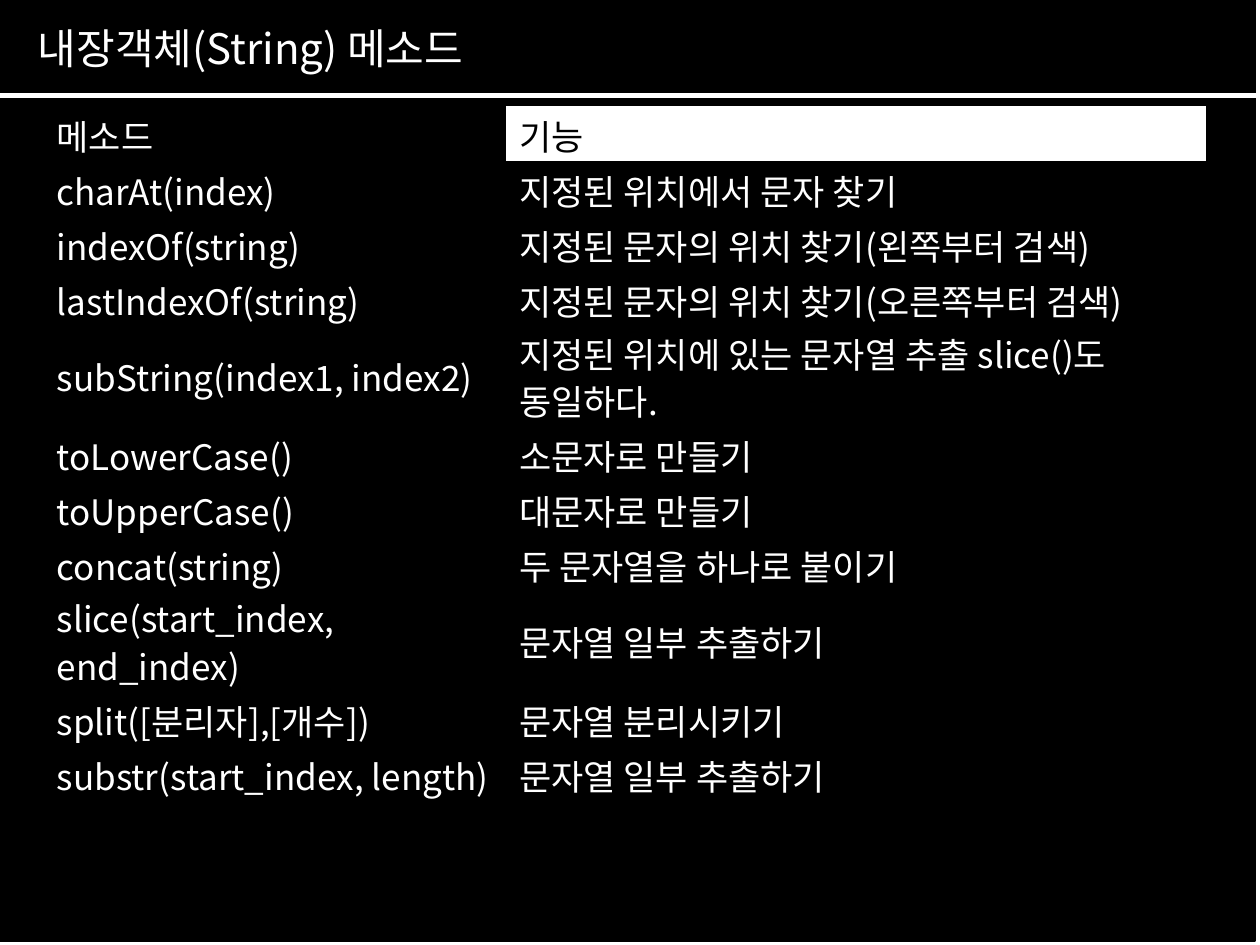
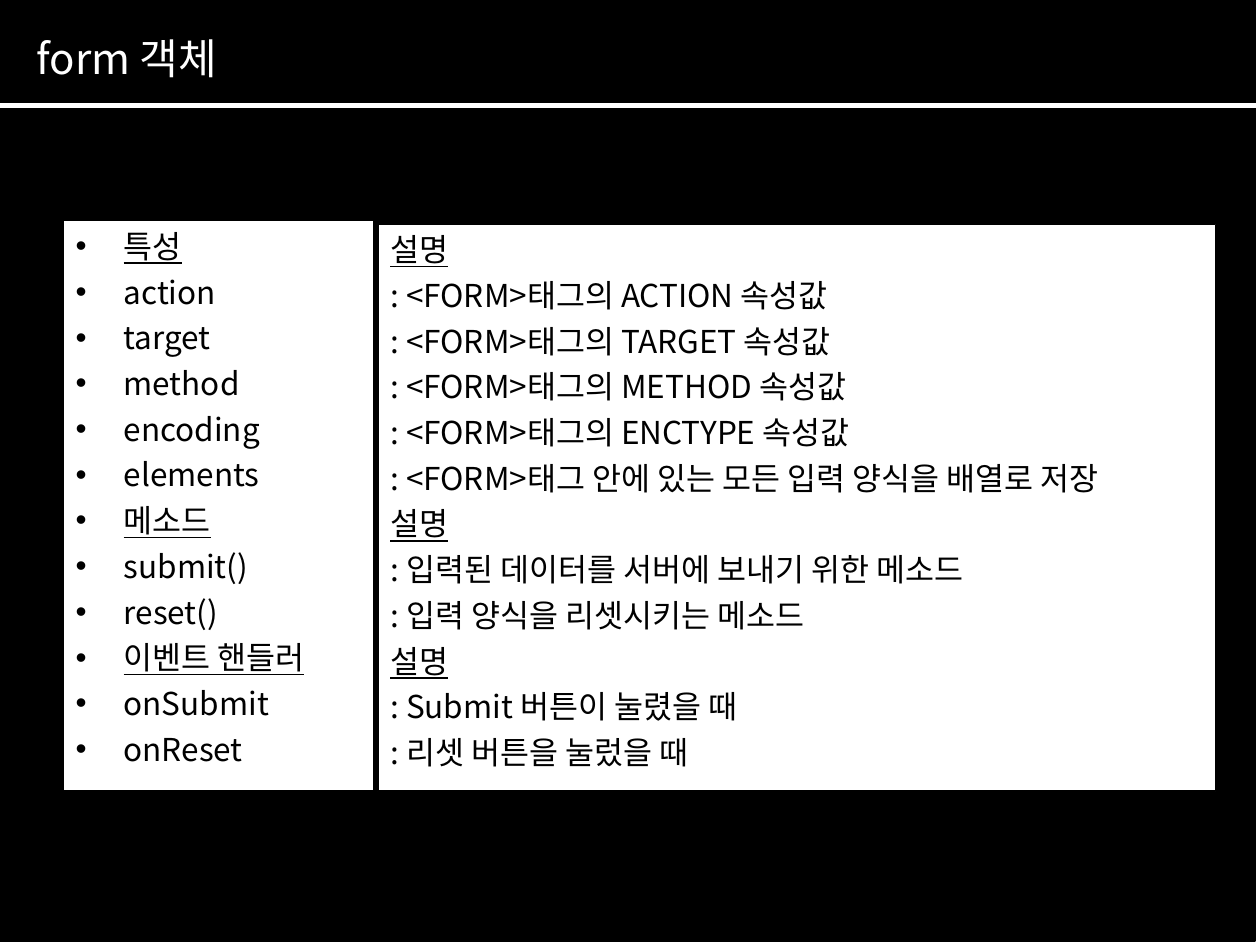
from lxml.etree import SubElement
from pptx import Presentation
from pptx.dml.color import RGBColor
from pptx.enum.shapes import MSO_CONNECTOR, MSO_SHAPE
from pptx.enum.text import MSO_ANCHOR, MSO_AUTO_SIZE, PP_ALIGN
from pptx.oxml.ns import qn
from pptx.util import Cm, Pt

COLORS = {"black": "000000", "white": "FFFFFF"}
FONT = "Noto Sans CJK KR"
NO_GRID_STYLE = "{2D5ABB26-0587-4C30-8999-92F81FD0307C}"
SLIDE_W, SLIDE_H = 25.4, 19.05
TITLE_ONLY, TITLE_AND_BODY = 5, 1
HANGING = 0.97

METHODS = [
    ("메소드", "기능"),
    ("charAt(index)", "지정된 위치에서 문자 찾기"),
    ("indexOf(string)", "지정된 문자의 위치 찾기(왼쪽부터 검색)"),
    ("lastIndexOf(string)", "지정된 문자의 위치 찾기(오른쪽부터 검색)"),
    ("subString(index1, index2)", "지정된 위치에 있는 문자열 추출 slice()도 동일하다."),
    ("toLowerCase()", "소문자로 만들기"),
    ("toUpperCase()", "대문자로 만들기"),
    ("concat(string)", "두 문자열을 하나로 붙이기"),
    ("slice(start_index, end_index)", "문자열 일부 추출하기"),
    ("split([분리자],[개수])", "문자열 분리시키기"),
    ("substr(start_index, length)", "문자열 일부 추출하기"),
    ("", ""),
    ("", ""),
]
TALL_ROWS = {4, 8}

FORM_SECTIONS = [
    ("특성", [
        ("action", ": <FORM>태그의 ACTION 속성값"),
        ("target", ": <FORM>태그의 TARGET 속성값"),
        ("method", ": <FORM>태그의 METHOD 속성값"),
        ("encoding", ": <FORM>태그의 ENCTYPE 속성값"),
        ("elements", ": <FORM>태그 안에 있는 모든 입력 양식을 배열로 저장"),
    ]),
    ("메소드", [
        ("submit()", ": 입력된 데이터를 서버에 보내기 위한 메소드"),
        ("reset()", ": 입력 양식을 리셋시키는 메소드"),
    ]),
    ("이벤트 핸들러", [
        ("onSubmit", ": Submit 버튼이 눌렸을 때"),
        ("onReset", ": 리셋 버튼을 눌렀을 때"),
    ]),
]


def rgb(name):
    """Return the named colour."""
    return RGBColor.from_string(COLORS[name])


def write(p, text, size=18, color="black", underline=False, hanging=0,
          before=0, spacing=None):
    """Put formatted text in a paragraph, left aligned and without kerning."""
    p.alignment = PP_ALIGN.LEFT
    p.space_before = Pt(before)
    p.line_spacing = spacing
    if hanging:
        pPr = p._p.get_or_add_pPr()
        pPr.set("marL", str(Cm(hanging)))
        pPr.set("indent", str(-Cm(hanging)))
    r = p.add_run()
    r.text = text
    r.font.size = Pt(size)
    r.font.underline = underline
    r.font.color.rgb = rgb(color)
    r.font.name = FONT
    rPr = r._r.get_or_add_rPr()
    rPr.set("kern", "0")
    SubElement(rPr, qn("a:ea"), typeface=FONT)


def place(sp, box):
    """Move a shape to a left, top, width, height box in centimetres."""
    sp.left, sp.top, sp.width, sp.height = map(Cm, box)


def paint(sp, fill):
    """Give a shape a plain fill, a thin black outline and no shadow."""
    sp.fill.solid()
    sp.fill.fore_color.rgb = rgb(fill)
    sp.line.color.rgb = rgb("black")
    sp.line.width = Pt(0.75)
    sp.shadow.inherit = False


def prepare_frame(sp):
    """Give a shape a wrapping text frame that starts at the top."""
    tf = sp.text_frame
    tf.word_wrap = True
    tf.auto_size = MSO_AUTO_SIZE.NONE
    tf.vertical_anchor = MSO_ANCHOR.TOP
    return tf


def add_backdrop(prs, s):
    """Draw the black backdrop and move it to the back of the master."""
    box = (-0.1, -0.08, SLIDE_W, SLIDE_H)
    sp = s.shapes.add_shape(MSO_SHAPE.RECTANGLE, *map(Cm, box))
    paint(sp, "black")
    prs.slide_master.shapes._spTree.insert(2, sp._element)


def add_header(s, text, left, rule_y):
    """Place the title above a white rule across the slide."""
    place(s.shapes.title, (left, rule_y - 1.6, 19.4, 1.27))
    write(prepare_frame(s.shapes.title).paragraphs[0], text, size=24, color="white")
    rule = s.shapes.add_connector(
        MSO_CONNECTOR.STRAIGHT, 0, Cm(rule_y), Cm(SLIDE_W), Cm(rule_y))
    rule.line.color.rgb = rgb("white")
    rule.line.width = Pt(3)
    SubElement(rule._element.spPr, qn("a:effectLst"))


def add_method_table(s, box):
    """Fill a box with the table of methods."""
    tbl = s.shapes.add_table(len(METHODS), 2, *map(Cm, box)).table
    tbl.first_row = tbl.horz_banding = False
    tbl._tbl.tblPr.find(qn("a:tableStyleId")).text = NO_GRID_STYLE
    tbl.columns[0].width = Cm(9.32)
    tbl.columns[1].width = Cm(box[2] - 9.32)
    for i, texts in enumerate(METHODS):
        is_tall = i in TALL_ROWS
        tbl.rows[i].height = Cm(1.97 if is_tall else 1.11)
        for j, text in enumerate(texts):
            cell = tbl.cell(i, j)
            cell.vertical_anchor = MSO_ANCHOR.MIDDLE
            cell.margin_top, cell.margin_bottom = Cm(0.08), 0
            is_white = (i, j) == (0, 1)
            if i == 0:
                cell.fill.solid()
                cell.fill.fore_color.rgb = rgb("white" if is_white else "black")
            else:
                cell.fill.background()
            if text:
                write(cell.text_frame.paragraphs[0], text, size=20,
                      color="black" if is_white else "white",
                      spacing=0.94 if is_tall else None)


def fill_panel(sp, box, lines):
    """Make a shape a white panel of (text, underlined) lines."""
    place(sp, box)
    paint(sp, "white")
    tf = prepare_frame(sp)
    for i, (text, underline) in enumerate(lines):
        p = tf.add_paragraph() if i else tf.paragraphs[0]
        write(p, text, underline=underline, hanging=HANGING,
              before=4.5 if i else 0)


def build_string_slide(prs):
    """Build the slide on String methods."""
    s = prs.slides.add_slide(prs.slide_layouts[TITLE_ONLY])
    add_backdrop(prs, s)
    add_header(s, "내장객체(String) 메소드", left=0.51, rule_y=1.93)
    add_method_table(s, (0.89, 2.13, 23.42, 16))


def build_form_slide(prs):
    """Build the slide on the form object."""
    s = prs.slides.add_slide(prs.slide_layouts[TITLE_AND_BODY])
    add_header(s, "form 객체", left=0.48, rule_y=2.13)
    names, notes = [], []
    for heading, items in FORM_SECTIONS:
        names += [(heading, True)] + [(name, False) for name, _ in items]
        notes += [("설명", True)] + [(note, False) for _, note in items]
    fill_panel(s.placeholders[1], (1.27, 4.45, 6.27, 11.48), names)
    box = (7.62, 4.52, 16.89, 11.43)
    fill_panel(s.shapes.add_shape(MSO_SHAPE.RECTANGLE, *map(Cm, box)), box, notes)


def main():
    """Build and save the presentation."""
    prs = Presentation()
    prs.slide_width, prs.slide_height = Cm(SLIDE_W), Cm(SLIDE_H)
    build_string_slide(prs)
    build_form_slide(prs)
    prs.save("out.pptx")


if __name__ == "__main__":
    main()
